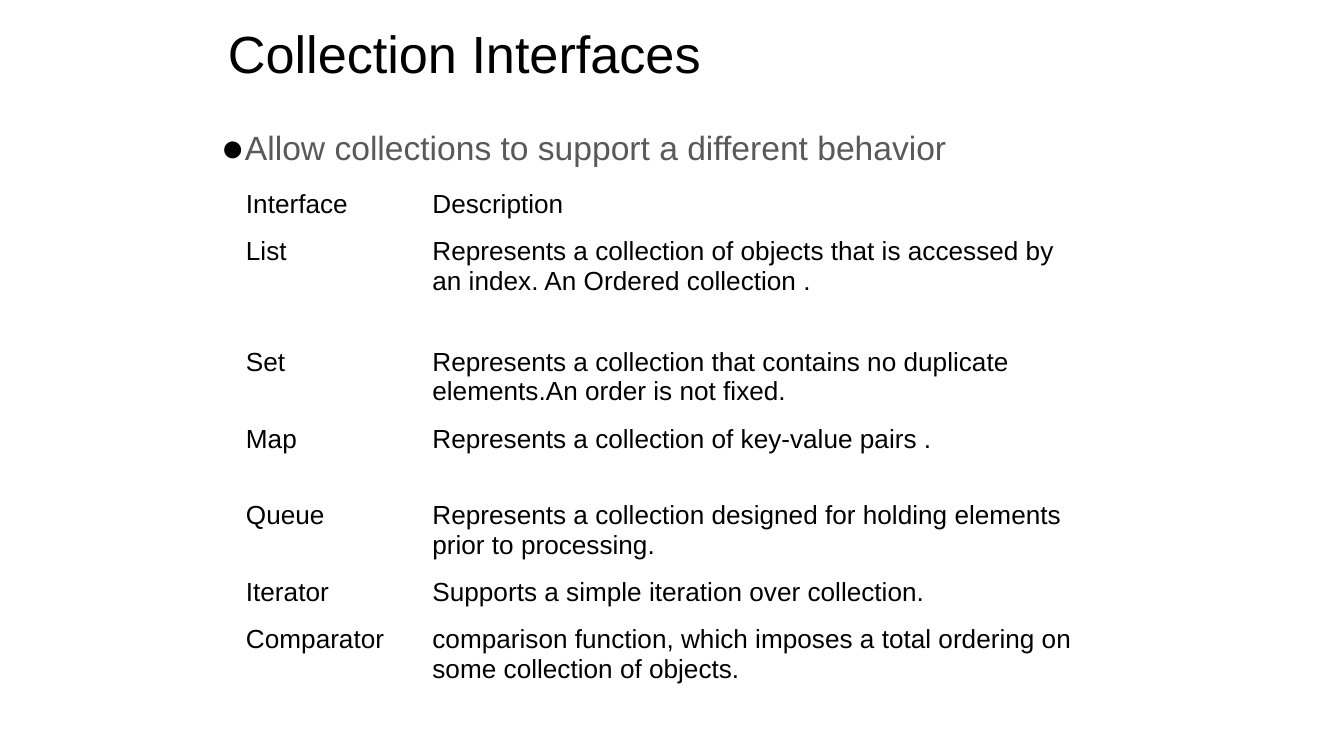
from lxml import etree
from pptx import Presentation
from pptx.dml.color import RGBColor
from pptx.enum.text import MSO_ANCHOR
from pptx.oxml.ns import qn
from pptx.util import Inches, Pt

BLACK = RGBColor(0x00, 0x00, 0x00)
GRAY = RGBColor(0x59, 0x59, 0x59)
UNIT = Inches(0.125)
COLS, ROWS = 80, 45

prs = Presentation()
prs.slide_width = COLS * UNIT
prs.slide_height = ROWS * UNIT
s = prs.slides.add_slide(prs.slide_layouts[6])


def grid(*units):
    return [round(u * UNIT) for u in units]


def set_text(tf, text, size, color, side):
    tf.word_wrap = True
    p = tf.paragraphs[0]
    p.text = text
    f = p.runs[0].font
    f.name, f.size, f.bold = "Arial", Pt(size), False
    f.color.rgb = color
    tf.margin_left = tf.margin_right = Inches(side)
    tf.margin_top = tf.margin_bottom = Inches(0.04)
    return p


title = s.shapes.add_textbox(*grid(13, 1, 54, 4.7))
title.text_frame.vertical_anchor = MSO_ANCHOR.MIDDLE
p = set_text(title.text_frame, "Collection Interfaces", 28, BLACK, 0.07)
p.line_spacing = 0.9

body = s.shapes.add_textbox(*grid(12.5, 7.5, 54, 5))
p = set_text(body.text_frame, "Allow collections to support a different behavior", 18, GRAY, 0.07)
p.line_spacing = 0.9
pPr = p._p.get_or_add_pPr()
pPr.set("marL", str(Inches(0.19)))
pPr.set("indent", str(Inches(-0.18)))
buClr = etree.SubElement(pPr, qn("a:buClr"))
etree.SubElement(buClr, qn("a:srgbClr")).set("val", str(BLACK))
etree.SubElement(pPr, qn("a:buSzPct")).set("val", "117000")
etree.SubElement(pPr, qn("a:buFont")).set("typeface", "Arial")
etree.SubElement(pPr, qn("a:buChar")).set("char", "●")

interfaces = [
    ("Interface", "Description", 2.8),
    ("List", "Represents a collection of objects that is accessed by an index. An Ordered collection .", 6.56),
    ("Set", "Represents a collection that contains no duplicate elements.An order is not fixed.", 4.58),
    ("Map", "Represents a collection of key-value pairs .", 4.58),
    ("Queue", "Represents a collection designed for holding elements prior to processing.", 4.58),
    ("Iterator", "Supports a simple iteration over collection.", 2.8),
    ("Comparator", "comparison function, which imposes a total ordering on some collection of objects.", 4.24),
]
heights = [height for *_, height in interfaces]
table = s.shapes.add_table(len(interfaces), 2, *grid(14, 11, 51, sum(heights))).table
table.first_row = table.horz_banding = False
for col, width in zip(table.columns, grid(11.1, 39.9)):
    col.width = width
for row, height, texts in zip(table.rows, grid(*heights), interfaces):
    row.height = height
    for cell, text in zip(row.cells, texts):
        cell.fill.background()
        set_text(cell.text_frame, text, 14, BLACK, 0.08)
        cell.margin_left = cell.margin_right = Inches(0.08)
        cell.margin_top = cell.margin_bottom = Inches(0.04)

prs.save("out.pptx")
